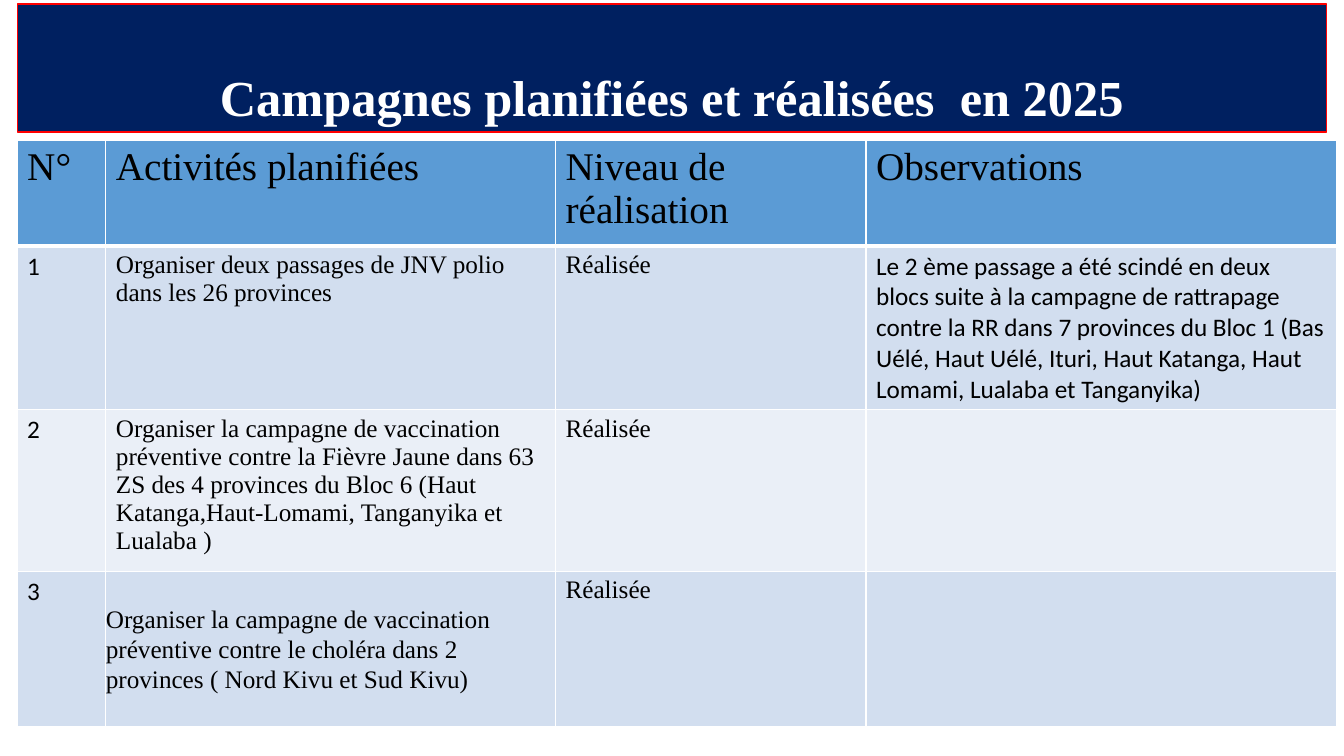
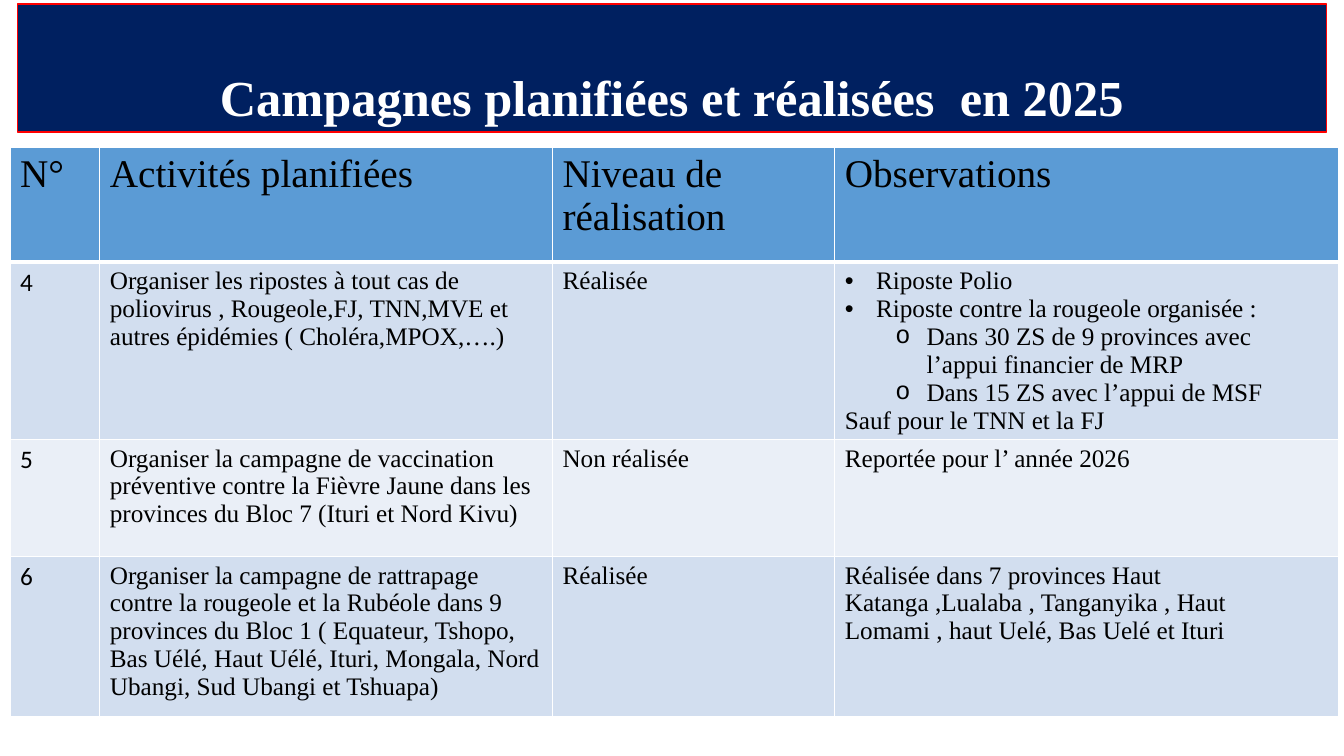
from dataclasses import dataclass

from lxml import etree
from pptx import Presentation
from pptx import util as u
from pptx.dml.color import RGBColor
from pptx.enum import shapes, text
from pptx.oxml import ns

PX = 9144  # EMU, 100 px to the inch
SLIDE_WIDTH, SLIDE_HEIGHT = 1333, 750

NAVY = RGBColor(0x00, 0x20, 0x60)
RED = RGBColor(0xFF, 0x00, 0x00)
WHITE = RGBColor(0xFF, 0xFF, 0xFF)
BLACK = RGBColor(0x00, 0x00, 0x00)
HEADER_BLUE = RGBColor(0x5B, 0x9B, 0xD5)
BANDS = (RGBColor(0xD2, 0xDE, 0xEF), RGBColor(0xEA, 0xEF, 0xF7))

SERIF = "Times New Roman"
SANS = "Calibri"
TITLE_SIZE, HEADER_SIZE, BODY_SIZE = 36, 28, 18
HANGING = 31
THIN, THICK = 1, 3

TITLE = "Campagnes planifiées et réalisées  en 2025"
HEADERS = ("N°", "Activités planifiées", "Niveau de réalisation", "Observations")


@dataclass(frozen=True)
class Line:
    text: str
    font: str = SERIF
    marker: str = ""
    marker_font: str = "Arial"
    level: int = 0


@dataclass(frozen=True)
class Campaign:
    number: int
    activity: str
    status: str
    observations: tuple[Line, ...] = ()
    centred_activity: bool = False


@dataclass(frozen=True)
class CampaignTable:
    left: int
    top: int
    widths: tuple[int, ...]
    heights: tuple[int, ...]
    campaigns: tuple[Campaign, ...]


TABLES = (
    CampaignTable(17, 139, (88, 446, 308, 467), (105, 161, 160, 154), (
        Campaign(
            1, "Organiser deux passages de JNV polio dans les 26 provinces", "Réalisée",
            (Line("Le 2 ème passage a été scindé en deux blocs suite à la campagne de "
                  "rattrapage contre la RR dans 7 provinces du Bloc 1 (Bas Uélé, Haut Uélé, "
                  "Ituri, Haut Katanga, Haut Lomami, Lualaba et Tanganyika)", SANS),)),
        Campaign(
            2, "Organiser la campagne de vaccination préventive contre la Fièvre Jaune "
            "dans 63 ZS des 4 provinces du Bloc 6 (Haut Katanga,Haut-Lomami, Tanganyika "
            "et Lualaba )", "Réalisée"),
        Campaign(
            3, "Organiser la campagne de vaccination préventive contre le choléra dans 2 "
            "provinces ( Nord Kivu et Sud Kivu)", "Réalisée", centred_activity=True),
    )),
    CampaignTable(10, 146, (89, 449, 280, 500), (114, 175, 116, 159), (
        Campaign(
            4, "Organiser les ripostes à tout cas de poliovirus , Rougeole,FJ, TNN,MVE et "
            "autres épidémies ( Choléra,MPOX,….)", "Réalisée",
            (Line("Riposte Polio", marker="•"),
             Line("Riposte contre la rougeole organisée :", marker="•"),
             Line("Dans 30 ZS de 9 provinces avec l’appui financier de MRP",
                  marker="o", marker_font="Courier New", level=1),
             Line("Dans 15 ZS avec l’appui de MSF",
                  marker="o", marker_font="Courier New", level=1),
             Line("Sauf pour le TNN et la FJ"))),
        Campaign(
            5, "Organiser la campagne de vaccination préventive contre la Fièvre Jaune "
            "dans les provinces du Bloc 7 (Ituri et Nord Kivu)", "Non réalisée",
            (Line("Reportée pour l’ année 2026"),)),
        Campaign(
            6, "Organiser la campagne de rattrapage contre la rougeole et la Rubéole dans "
            "9 provinces du Bloc 1 ( Equateur, Tshopo, Bas Uélé, Haut Uélé, Ituri, "
            "Mongala, Nord Ubangi, Sud Ubangi et Tshuapa)", "Réalisée",
            (Line("Réalisée dans 7 provinces Haut Katanga ,Lualaba , Tanganyika , Haut "
                  "Lomami , haut Uelé, Bas Uelé et Ituri"),)),
    )),
)


def px(length: int) -> u.Emu:
    return u.Emu(length * PX)


def set_font(paragraph, name: str, size: int, color: RGBColor, bold: bool = False) -> None:
    font = paragraph.font
    font.name, font.size, font.bold = name, u.Pt(size), bold
    font.color.rgb = color


def add_marker(paragraph, line: Line) -> None:
    """Give the paragraph a hanging bullet, indented by its level."""
    paragraph.level = line.level
    properties = paragraph._p.get_or_add_pPr()
    properties.set("marL", str(px(HANGING + 50 * line.level)))
    properties.set("indent", str(px(-HANGING)))
    etree.SubElement(properties, ns.qn("a:buFont"), typeface=line.marker_font)
    etree.SubElement(properties, ns.qn("a:buChar"), char=line.marker)


def set_borders(cell, top: int, bottom: int) -> None:
    properties = cell._tc.get_or_add_tcPr()
    for side, width in (("L", THIN), ("R", THIN), ("T", top), ("B", bottom)):
        border = etree.SubElement(properties, ns.qn(f"a:ln{side}"), w=str(u.Pt(width)))
        fill = etree.SubElement(border, ns.qn("a:solidFill"))
        etree.SubElement(fill, ns.qn("a:srgbClr"), val=str(WHITE))


def fill_cell(cell, lines: tuple[Line, ...], size: int, color: RGBColor,
              top: int = THIN, bottom: int = THIN) -> None:
    set_borders(cell, top, bottom)
    cell.fill.solid()
    cell.fill.fore_color.rgb = color
    frame = cell.text_frame
    for index, line in enumerate(lines):
        paragraph = frame.add_paragraph() if index else frame.paragraphs[0]
        paragraph.text = line.text
        if line.marker:
            add_marker(paragraph, line)
        set_font(paragraph, line.font, size, BLACK)


def centre_without_margins(cell) -> None:
    cell.vertical_anchor = text.MSO_ANCHOR.MIDDLE
    cell.margin_left = cell.margin_right = cell.margin_top = cell.margin_bottom = 0
    cell.text_frame.paragraphs[0].line_spacing = 1.07


def add_campaign_table(slide, plan: CampaignTable) -> None:
    table = slide.shapes.add_table(
        len(plan.heights), len(plan.widths), px(plan.left), px(plan.top),
        px(sum(plan.widths)), px(sum(plan.heights))).table
    table.first_row = table.horz_banding = False
    for column, width in zip(table.columns, plan.widths):
        column.width = px(width)
    for row, height in zip(table.rows, plan.heights):
        row.height = px(height)

    for column, header in enumerate(HEADERS):
        fill_cell(table.cell(0, column), (Line(header),), HEADER_SIZE, HEADER_BLUE,
                  bottom=THICK)
    for row, campaign in enumerate(plan.campaigns, start=1):
        contents = (
            (Line(str(campaign.number), SANS),),
            (Line(campaign.activity),),
            (Line(campaign.status),),
            campaign.observations,
        )
        for column, lines in enumerate(contents):
            fill_cell(table.cell(row, column), lines, BODY_SIZE,
                      BANDS[(row - 1) % len(BANDS)], top=THICK if row == 1 else THIN)
        if campaign.centred_activity:
            centre_without_margins(table.cell(row, 1))


def add_title_band(slide) -> None:
    band = slide.shapes.add_shape(
        shapes.MSO_SHAPE.RECTANGLE, px(17), px(4), px(1299), px(127))
    band.shadow.inherit = False
    band.fill.solid()
    band.fill.fore_color.rgb = NAVY
    band.line.color.rgb = RED
    band.line.width = u.Pt(0.75)
    frame = band.text_frame
    frame.word_wrap = True
    frame.vertical_anchor = text.MSO_ANCHOR.BOTTOM
    title = frame.paragraphs[0]
    title.text = TITLE
    title.alignment = text.PP_ALIGN.CENTER
    title.line_spacing = 0.9
    set_font(title, SERIF, TITLE_SIZE, WHITE, bold=True)


def main() -> None:
    deck = Presentation()
    deck.slide_width, deck.slide_height = px(SLIDE_WIDTH), px(SLIDE_HEIGHT)
    for plan in TABLES:
        slide = deck.slides.add_slide(deck.slide_layouts[6])
        add_campaign_table(slide, plan)
        add_title_band(slide)
    deck.save("out.pptx")


if __name__ == "__main__":
    main()
